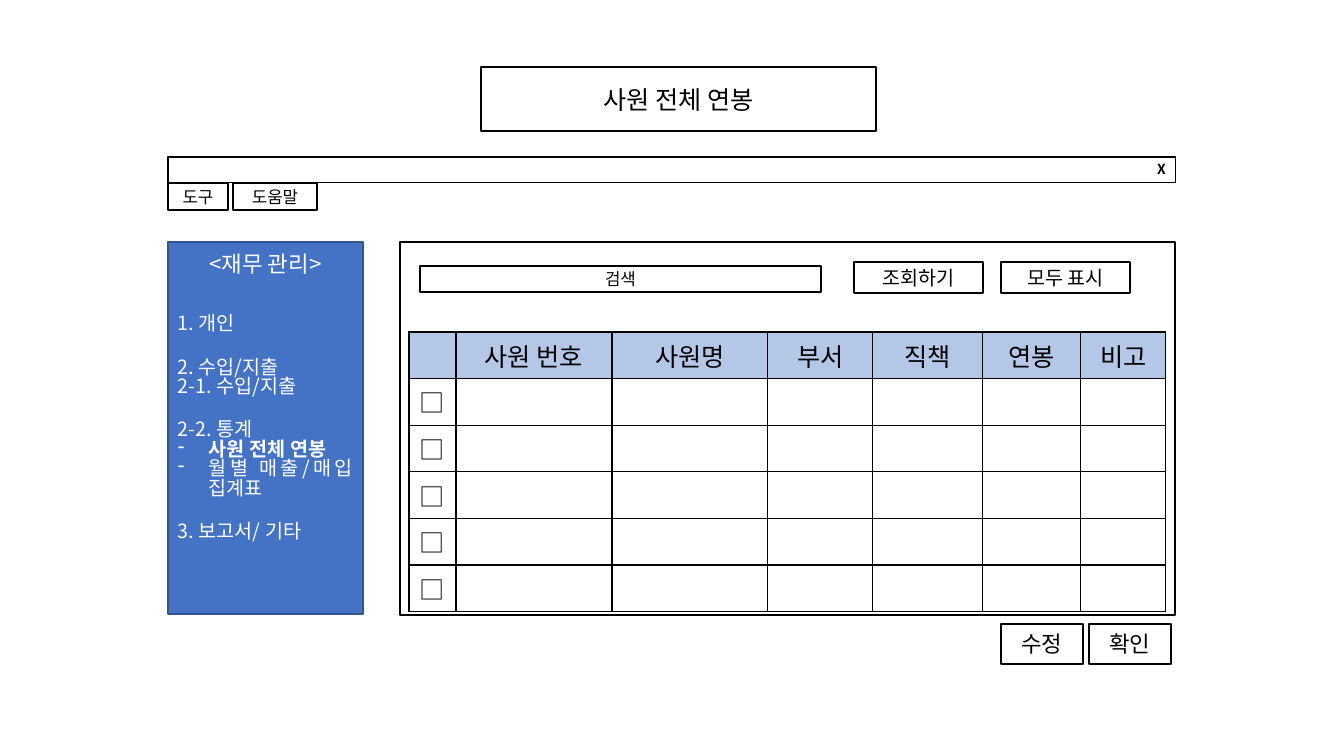
import dataclasses

import pptx
import pptx.dml.color
import pptx.enum.shapes
import pptx.enum.text
import pptx.oxml
import pptx.oxml.ns
import pptx.util

PIXELS_PER_INCH = 100.8
FONT = "Noto Sans CJK KR"
BLACK = pptx.dml.color.RGBColor(0x00, 0x00, 0x00)
WHITE = pptx.dml.color.RGBColor(0xFF, 0xFF, 0xFF)
BLUE = pptx.dml.color.RGBColor(0x44, 0x72, 0xC4)
DARK_BLUE = pptx.dml.color.RGBColor(0x32, 0x54, 0x91)
LIGHT_BLUE = pptx.dml.color.RGBColor(0xB4, 0xC7, 0xE7)
ALIGN = pptx.enum.text.PP_ALIGN
ANCHOR = pptx.enum.text.MSO_ANCHOR


@dataclasses.dataclass(frozen=True)
class Panel:
    """A bordered rectangle in pixels, with an optional centred label."""
    left: int
    top: int
    width: int
    height: int
    label: str = ""
    size: float = 12
    fill: pptx.dml.color.RGBColor = WHITE
    line: pptx.dml.color.RGBColor = BLACK


@dataclasses.dataclass(frozen=True)
class MenuLine:
    """One line of the side menu; gap is the space before it in points."""
    text: str
    size: float = 14
    gap: float = 0
    bold: bool = False
    bullet: bool = False
    align: ALIGN = ALIGN.JUSTIFY


FRAME = Panel(400, 242, 775, 373)
SIDE_MENU = Panel(168, 242, 195, 372, fill=BLUE, line=DARK_BLUE)
CONTROLS = [
    Panel(481, 67, 395, 64, "사원 전체 연봉", 18),
    Panel(168, 183, 60, 27, "도구"),
    Panel(233, 183, 84, 27, "도움말"),
    Panel(420, 266, 401, 26, "검색"),
    Panel(854, 262, 129, 31, "조회하기", 14),
    Panel(1001, 262, 129, 31, "모두 표시", 14),
    Panel(1001, 624, 82, 40, "수정", 16),
    Panel(1089, 624, 82, 40, "확인", 16),
]
SECTION_GAP = 17
MENU_LINES = [
    MenuLine("<재무 관리>", 16, align=ALIGN.CENTER),
    MenuLine("1. 개인", gap=27),
    MenuLine("2. 수입/지출", gap=SECTION_GAP),
    MenuLine("2-1. 수입/지출"),
    MenuLine("2-2. 통계", gap=SECTION_GAP),
    MenuLine("사원 전체 연봉", bold=True, bullet=True),
    MenuLine("월별 매출/매입 집계표", bullet=True),
    MenuLine("3. 보고서/ 기타", gap=SECTION_GAP),
]
HEADERS = ["", "사원 번호", "사원명", "부서", "직책", "연봉", "비고"]
COLUMN_WIDTHS = [47, 156, 156, 105, 110, 98, 85]
EMPLOYEE_ROWS = 5
ROW_HEIGHT = 46


def px(pixels: float) -> pptx.util.Emu:
    """Turn pixels into EMU."""
    return pptx.util.Emu(round(pixels * 914400 / PIXELS_PER_INCH))


def add_span(para, text: str, size: float, color, bold: bool = False) -> None:
    """Add a formatted run to a paragraph."""
    span = para.add_run()
    span.text = text
    span.font.size = pptx.util.Pt(size)
    span.font.bold = bold
    span.font.color.rgb = color
    span.font.name = FONT
    east_asian = pptx.oxml.parse_xml(
        f'<a:ea {pptx.oxml.ns.nsdecls("a")} typeface="{FONT}"/>')
    span.font._element.find(pptx.oxml.ns.qn("a:latin")).addnext(east_asian)


def add_panel(page, panel: Panel):
    """Draw a bordered rectangle and its label."""
    box = page.shapes.add_shape(
        pptx.enum.shapes.MSO_SHAPE.RECTANGLE,
        px(panel.left), px(panel.top), px(panel.width), px(panel.height))
    box.shadow.inherit = False
    box.fill.solid()
    box.fill.fore_color.rgb = panel.fill
    box.line.color.rgb = panel.line
    box.line.width = pptx.util.Pt(1)
    frame = box.text_frame
    frame.word_wrap = True
    frame.vertical_anchor = ANCHOR.MIDDLE
    if panel.label:
        para = frame.paragraphs[0]
        para.alignment = ALIGN.CENTER
        add_span(para, panel.label, panel.size, BLACK)
    return box


def set_title_bar(page) -> None:
    """Turn the title placeholder into the window bar with its close mark."""
    bar = page.shapes.title
    bar.left, bar.top, bar.width, bar.height = px(168), px(157), px(1008), px(26)
    bar.line.color.rgb = BLACK
    bar.line.width = pptx.util.Pt(0.75)
    frame = bar.text_frame
    frame.auto_size = pptx.enum.text.MSO_AUTO_SIZE.NONE
    frame.vertical_anchor = ANCHOR.BOTTOM
    para = frame.paragraphs[0]
    para.alignment = ALIGN.RIGHT
    para.line_spacing = 0.9
    add_span(para, "X", 9.9, BLACK, bold=True)


def add_side_menu(page) -> None:
    """Draw the blue menu with its sections and dashed entries."""
    frame = add_panel(page, SIDE_MENU).text_frame
    frame.vertical_anchor = ANCHOR.TOP
    frame.margin_top = px(13)
    for index, entry in enumerate(MENU_LINES):
        para = frame.add_paragraph() if index else frame.paragraphs[0]
        para.alignment = entry.align
        para.line_spacing = 0.83
        para.space_before = pptx.util.Pt(entry.gap)
        if entry.bullet:
            properties = para._p.get_or_add_pPr()
            properties.set("marL", str(px(31)))
            properties.set("indent", str(-px(31)))
            properties.append(pptx.oxml.parse_xml(
                f'<a:buChar {pptx.oxml.ns.nsdecls("a")} char="-"/>'))
        add_span(para, entry.text, entry.size, WHITE, entry.bold)


def add_borders(cell) -> None:
    """Give a table cell a one-point border on every side."""
    properties = cell._tc.get_or_add_tcPr()
    for side in ("lnL", "lnR", "lnT", "lnB"):
        properties.append(pptx.oxml.parse_xml(
            f'<a:{side} {pptx.oxml.ns.nsdecls("a")} w="{pptx.util.Pt(1)}">'
            f'<a:solidFill><a:srgbClr val="{BLACK}"/></a:solidFill></a:{side}>'))


def add_salary_table(page) -> None:
    """Add the employee table with a check box in front of each row."""
    rows = [HEADERS] + [["□"] + [""] * (len(HEADERS) - 1)] * EMPLOYEE_ROWS
    table = page.shapes.add_table(
        len(rows), len(HEADERS), px(409), px(332),
        px(sum(COLUMN_WIDTHS)), px(ROW_HEIGHT * len(rows))).table
    table.first_row = table.horz_banding = False
    for column, width in zip(table.columns, COLUMN_WIDTHS):
        column.width = px(width)
    for row_index, labels in enumerate(rows):
        for column_index, label in enumerate(labels):
            cell = table.cell(row_index, column_index)
            add_borders(cell)
            cell.fill.solid()
            cell.fill.fore_color.rgb = WHITE if row_index else LIGHT_BLUE
            cell.vertical_anchor = ANCHOR.MIDDLE
            if label:
                para = cell.text_frame.paragraphs[0]
                para.alignment = ALIGN.CENTER
                add_span(para, label, 18, BLACK)


def main() -> None:
    """Build the salary screen and save it."""
    deck = pptx.Presentation()
    deck.slide_width, deck.slide_height = px(1344), px(756)
    page = deck.slides.add_slide(deck.slide_layouts.get_by_name("Title Only"))
    set_title_bar(page)
    add_panel(page, FRAME)
    add_side_menu(page)
    for control in CONTROLS:
        add_panel(page, control)
    add_salary_table(page)
    deck.save("out.pptx")


main()
